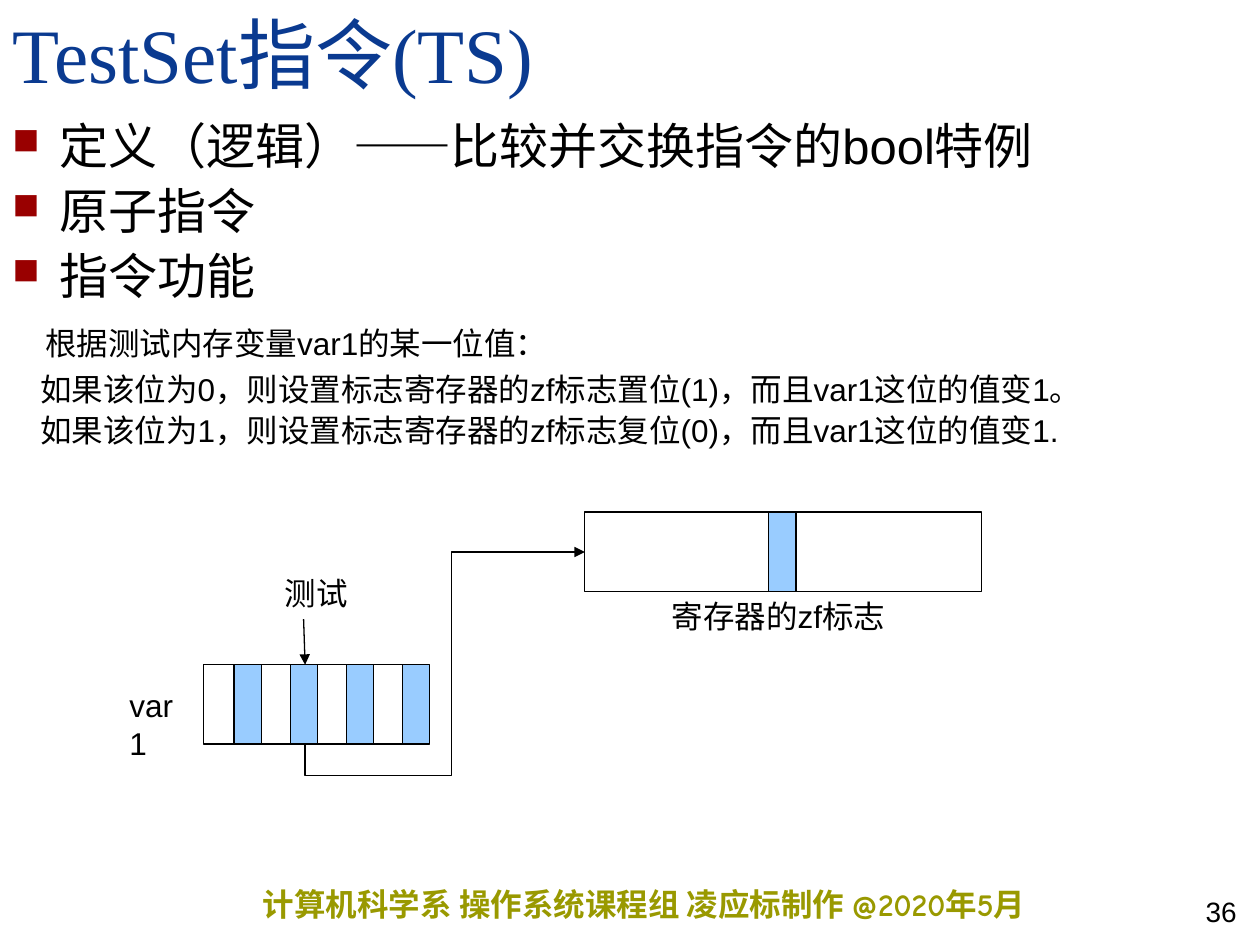
from lxml.etree import SubElement
from pptx import Presentation
from pptx.dml.color import RGBColor
from pptx.enum.shapes import MSO_CONNECTOR, MSO_SHAPE
from pptx.enum.text import MSO_ANCHOR, MSO_AUTO_SIZE, PP_ALIGN
from pptx.oxml.ns import qn
from pptx.util import Cm, Pt

COLORS = {
    "title": "0A3A90",
    "text": "000000",
    "bullet": "990000",
    "bit": "99CCFF",
    "footer": "999900",
}
BULLETS = ["定义（逻辑）——比较并交换指令的bool特例", "原子指令", "指令功能"]
DETAILS = [
    ("根据测试内存变量var1的某一位值：", 0.66, 13),
    ("如果该位为0，则设置标志寄存器的zf标志置位(1)，而且var1这位的值变1。", 0.56, 6.8),
    ("如果该位为1，则设置标志寄存器的zf标志复位(0)，而且var1这位的值变1.", 0.56, 4),
]


def color(name):
    return RGBColor.from_string(COLORS[name])


def format_runs(paragraph, size, font="Arial", color_name="text", bold=False):
    for run in paragraph.runs:
        run.font.size = Pt(size)
        run.font.name = font
        run.font.bold = bold
        run.font.color.rgb = color(color_name)


def add_frame(slide, box, anchor=MSO_ANCHOR.TOP):
    text_frame = slide.shapes.add_textbox(*map(Cm, box)).text_frame
    text_frame.word_wrap = True
    text_frame.vertical_anchor = anchor
    return text_frame


def add_label(slide, box, text):
    text_frame = add_frame(slide, box)
    text_frame.word_wrap = False
    text_frame.auto_size = MSO_AUTO_SIZE.SHAPE_TO_FIT_TEXT
    paragraph = text_frame.paragraphs[0]
    paragraph.text = text
    format_runs(paragraph, 18)


def add_title(slide, box):
    paragraph = add_frame(slide, box, MSO_ANCHOR.BOTTOM).paragraphs[0]
    paragraph.text = "TestSet指令(TS)"
    paragraph.line_spacing = 0.8
    format_runs(paragraph, 44, "Times New Roman", "title")


def add_bullet(paragraph):
    properties = paragraph._p.get_or_add_pPr()
    properties.set("marL", str(Cm(0.95)))
    properties.set("indent", str(-Cm(0.95)))
    bullet_color = SubElement(properties, qn("a:buClr"))
    SubElement(bullet_color, qn("a:srgbClr"), val=COLORS["bullet"])
    SubElement(properties, qn("a:buSzPct"), val="75000")
    SubElement(properties, qn("a:buFont"), typeface="Wingdings", charset="2")
    SubElement(properties, qn("a:buChar"), char="n")


def add_body(slide, box):
    text_frame = add_frame(slide, box)
    for index, text in enumerate(BULLETS):
        paragraph = text_frame.add_paragraph() if index else text_frame.paragraphs[0]
        paragraph.text = text
        paragraph.line_spacing = 0.9
        if index:
            paragraph.space_before = Pt(7)
        add_bullet(paragraph)
        format_runs(paragraph, 28)
    for text, margin, space in DETAILS:
        paragraph = text_frame.add_paragraph()
        paragraph.text = text
        paragraph.line_spacing = 0.9
        paragraph.space_before = Pt(space)
        paragraph._p.get_or_add_pPr().set("marL", str(Cm(margin)))
        format_runs(paragraph, 18)


def add_rectangle(slide, box, fill=None):
    shape = slide.shapes.add_shape(MSO_SHAPE.RECTANGLE, *map(Cm, box))
    shape.shadow.inherit = False
    if fill:
        shape.fill.solid()
        shape.fill.fore_color.rgb = color(fill)
    else:
        shape.fill.background()
    shape.line.color.rgb = color("text")
    shape.line.width = Pt(0.75)


def add_arrow(slide, kind, begin, end):
    connector = slide.shapes.add_connector(kind, *map(Cm, begin + end))
    connector.line.color.rgb = color("text")
    connector.line.width = Pt(0.75)
    SubElement(connector.line._get_or_add_ln(), qn("a:tailEnd"), type="triangle")
    SubElement(connector._element.spPr, qn("a:effectLst"))
    return connector


def add_register(slide, box):
    left, top, width, height = box
    add_rectangle(slide, box)
    add_rectangle(slide, (left + 3.7, top, 0.56, height), "bit")
    add_label(slide, (left + 1.5, top + height, 5.1, 1.02), "寄存器的zf标志")


def add_variable(slide, box):
    left, top, width, height = box
    add_rectangle(slide, box)
    for index in range(4):
        add_rectangle(slide, (left + 0.61 + 1.13 * index, top, 0.55, height), "bit")
    add_label(slide, (left - 1.75, top + 0.3, 1.73, 1.02), "var1")
    add_label(slide, (left + 1.38, top - 1.96, 1.78, 1.02), "测试")
    add_arrow(slide, MSO_CONNECTOR.STRAIGHT, (left + 2.01, top - 0.92), (left + 2.04, top))


def add_flag_path(slide, begin, end):
    across, rise = end[0] - begin[0], begin[1] - end[1]
    left = (begin[0] + end[0] - rise) / 2
    top = (begin[1] + end[1] - across) / 2
    connector = add_arrow(
        slide, MSO_CONNECTOR.ELBOW, (left, top), (left + rise, top + across)
    )
    properties = connector._element.spPr
    transform = properties.find(qn("a:xfrm"))
    for name, value in (("rot", "5400000"), ("flipH", "1"), ("flipV", "1")):
        transform.set(name, value)
    geometry = properties.find(qn("a:prstGeom"))
    geometry.set("prst", "bentConnector4")
    adjustments = geometry.find(qn("a:avLst"))
    if adjustments is None:
        adjustments = SubElement(geometry, qn("a:avLst"))
    for name, value in (("adj1", -16400), ("adj2", 52400)):
        SubElement(adjustments, qn("a:gd"), name=name, fmla=f"val {value}")


def add_diagram(slide, box):
    left, top, width, height = box
    add_register(slide, (left + 7.68, top, 8, 1.6))
    add_variable(slide, (left, top + 3.08, 4.52, 1.6))
    add_flag_path(slide, (left + 2.04, top + 4.68), (left + 7.68, top + 0.81))


def add_footer(slide, box):
    left, top, width, height = box
    text_frame = add_frame(slide, (left, top + 0.15, 18.6, 1.02))
    text_frame.margin_left = text_frame.margin_right = 0
    credit = text_frame.paragraphs[0]
    credit.text = "计算机科学系 操作系统课程组 凌应标制作 @2020年5月"
    format_runs(credit, 18, "Comic Neue", "footer", True)
    number_box = (left + width - 4.01, top, 4.01, 1.27)
    number = add_frame(slide, number_box, MSO_ANCHOR.BOTTOM).paragraphs[0]
    number.text = "36"
    number.alignment = PP_ALIGN.RIGHT
    format_runs(number, 16)


def main():
    presentation = Presentation()
    presentation.slide_width = Cm(25.4)
    presentation.slide_height = Cm(19.05)
    slide = presentation.slides.add_slide(presentation.slide_layouts[6])
    add_title(slide, (0, 0, 21.59, 2.1))
    add_body(slide, (0, 2.34, 25.1, 8.79))
    add_diagram(slide, (4.11, 10.32, 15.68, 5.5))
    add_footer(slide, (5.3, 17.57, 19.88, 1.27))
    presentation.save("out.pptx")


if __name__ == "__main__":
    main()
